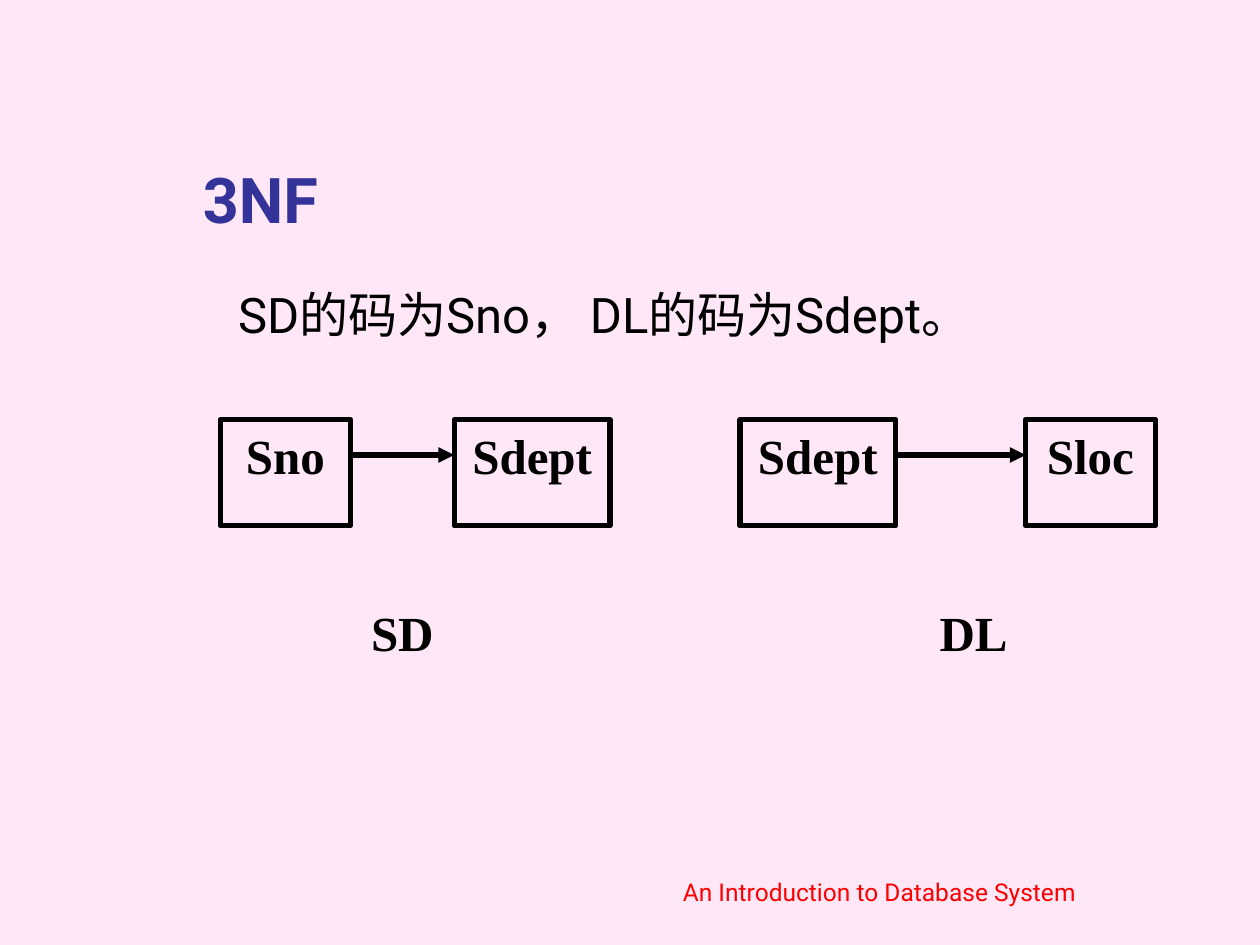
from dataclasses import dataclass

from lxml.etree import SubElement
from pptx import Presentation
from pptx.dml.color import RGBColor as Rgb
from pptx.enum.shapes import MSO_CONNECTOR as Connector, MSO_SHAPE as Shape
from pptx.enum.text import MSO_ANCHOR as Anchor, PP_ALIGN as Align
from pptx.oxml.ns import qn
from pptx.util import Inches, Pt


@dataclass(frozen=True)
class Theme:
    """Colours, fonts and sizes of the slide."""
    background: Rgb = Rgb.from_string("FEE8F7")
    heading: Rgb = Rgb.from_string("333399")
    ink: Rgb = Rgb.from_string("000000")
    accent: Rgb = Rgb.from_string("FF0000")
    sans: str = "Roboto"
    serif: str = "Times New Roman"
    heading_size: Pt = Pt(36)
    text_size: Pt = Pt(28)
    footer_size: Pt = Pt(14)
    stroke: Pt = Pt(3)


@dataclass(frozen=True)
class Grid:
    """A box in inches divided into equal columns and rows."""
    left: float
    top: float
    width: float
    height: float
    columns: int = 1
    rows: int = 1

    def point(self, column, row):
        """Return the slide position of a grid crossing."""
        return (Inches(self.left + self.width * column / self.columns),
                Inches(self.top + self.height * row / self.rows))

    def cell(self, column=0, row=0, across=1, down=1):
        """Return left, top, width and height of a span of cells."""
        left, top = self.point(column, row)
        right, bottom = self.point(column + across, row + down)
        return left, top, right - left, bottom - top


THEME = Theme()
NODE_FONT = dict(name=THEME.serif, size=THEME.text_size, bold=True)


def write(holder, wording, font, colour=THEME.ink, align=Align.CENTER, **frame_format):
    """Put one formatted paragraph into a shape."""
    frame = holder.text_frame
    paragraph = frame.paragraphs[0]
    paragraph.text = wording
    paragraph.alignment = align
    paragraph.font.color.rgb = colour
    frame_values = dict(word_wrap=True, vertical_anchor=Anchor.TOP) | frame_format
    for target, values in ((frame, frame_values), (paragraph.font, font)):
        for key, value in values.items():
            setattr(target, key, value)


def add_heading(slide, box):
    """Place the heading at the foot of its box."""
    write(slide.shapes.add_textbox(*box.cell()), "3NF",
          dict(name=THEME.sans, size=THEME.heading_size, bold=True), THEME.heading,
          Align.LEFT, vertical_anchor=Anchor.BOTTOM, margin_left=Inches(0.35))


def add_statement(slide, box):
    """Place the sentence that names the keys."""
    write(slide.shapes.add_textbox(*box.cell()), "SD的码为Sno， DL的码为Sdept。",
          dict(name=THEME.sans, size=THEME.text_size), align=Align.LEFT,
          margin_left=Inches(0.6))


def add_footer(slide, box):
    """Place the course name."""
    write(slide.shapes.add_textbox(*box.cell()), "An Introduction to Database System",
          dict(name=THEME.sans, size=THEME.footer_size), THEME.accent,
          vertical_anchor=Anchor.BOTTOM)


def add_attribute(slide, cell, wording):
    """Draw one framed attribute."""
    attribute = slide.shapes.add_shape(Shape.RECTANGLE, *cell)
    attribute.shadow.inherit = False
    attribute.fill.background()
    attribute.line.color.rgb = THEME.ink
    attribute.line.width = THEME.stroke
    write(attribute, wording, NODE_FONT)


def add_arrow(slide, start, end):
    """Draw a dependency arrow."""
    arrow = slide.shapes.add_connector(Connector.STRAIGHT, *start, *end)
    arrow.line.color.rgb = THEME.ink
    arrow.line.width = THEME.stroke
    SubElement(arrow.line._get_or_add_ln(), qn("a:tailEnd"), type="triangle")
    SubElement(arrow._element.spPr, qn("a:effectLst"))


def add_dependency(slide, grid, column, key, gap, dependent, relation, label_column):
    """Draw a key, its dependent attribute and the relation name below."""
    (key_name, key_span), (dependent_name, dependent_span) = key, dependent
    key_end = column + key_span
    dependent_start = key_end + gap
    add_attribute(slide, grid.cell(column, 0, key_span, 3), key_name)
    add_attribute(slide, grid.cell(dependent_start, 0, dependent_span, 3), dependent_name)
    add_arrow(slide, grid.point(key_end, 1), grid.point(dependent_start, 1))
    label = slide.shapes.add_textbox(*grid.cell(label_column, 5, 4, 3))
    write(label, relation, NODE_FONT)


def main():
    """Build and save the slide."""
    deck = Presentation()
    deck.slide_width, deck.slide_height = Inches(10), Inches(7.5)
    slide = deck.slides.add_slide(deck.slide_layouts[6])
    slide.background.fill.solid()
    slide.background.fill.fore_color.rgb = THEME.background

    add_footer(slide, Grid(4.37, 6.74, 5.22, 0.5))
    add_heading(slide, Grid(1.26, 0.67, 8.52, 1.25))
    add_statement(slide, Grid(1.29, 2.21, 8.5, 4.5))
    diagram = Grid(1.75, 3.33, 7.42, 2.25, columns=36, rows=8)
    add_dependency(slide, diagram, 0, ("Sno", 5), 4, ("Sdept", 6), "SD", 5)
    add_dependency(slide, diagram, 20, ("Sdept", 6), 5, ("Sloc", 5), "DL", 27)
    deck.save("out.pptx")


if __name__ == "__main__":
    main()
